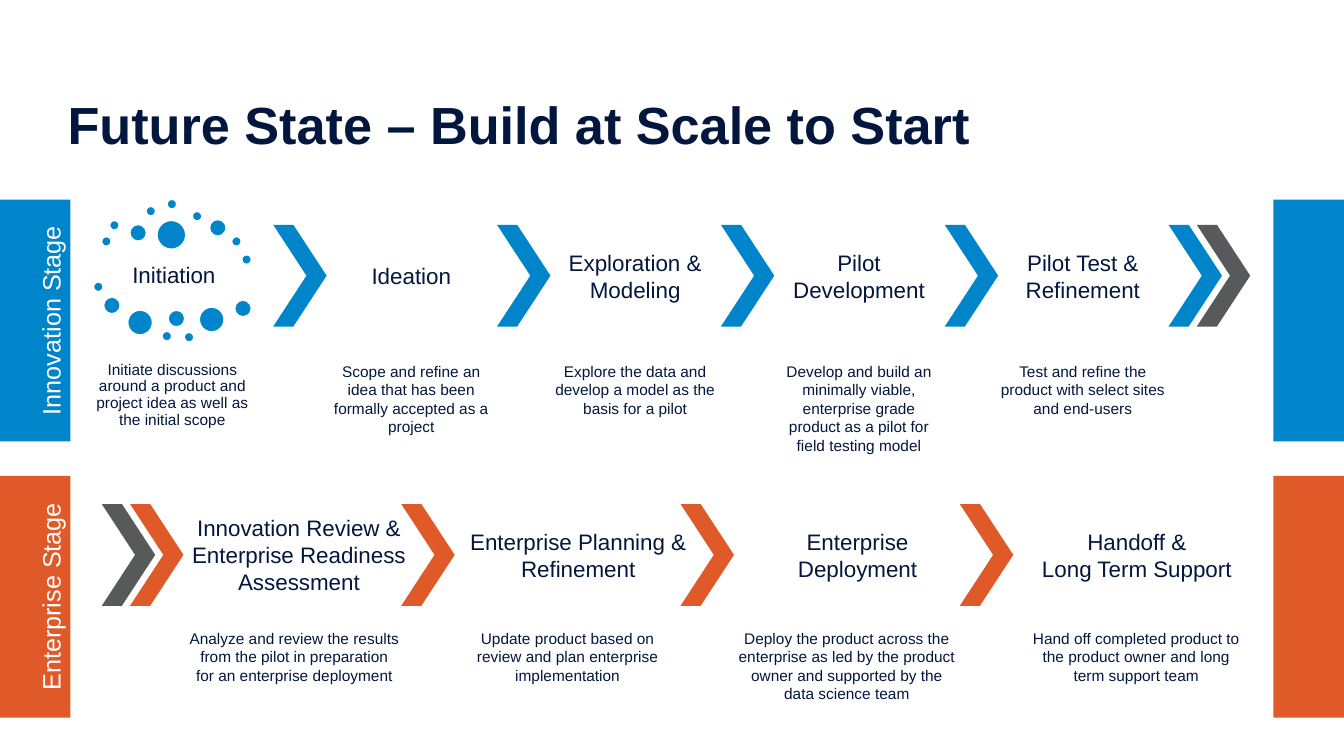
from dataclasses import dataclass
from pptx import Presentation
from pptx.dml.color import RGBColor
from pptx.enum.shapes import MSO_SHAPE as Kind
from pptx.enum.text import MSO_ANCHOR as Anchor, MSO_AUTO_SIZE as Fit, PP_ALIGN as Align
from pptx.shapes.autoshape import Shape
from pptx.slide import Slide
from pptx.text.text import TextFrame
from pptx.util import Inches, Pt

HUES = {"navy": "03173E", "blue": "0085CA", "orange": "E05929", "gray": "58595B", "white": "FFFFFF"}
FONT = "Arial"
TOP = {"blue": 2.23, "orange": 5.0}
STEP = {"blue": 2.22, "orange": 2.77}


@dataclass(frozen=True)
class Box:
    left: float
    top: float
    width: float
    height: float


@dataclass(frozen=True)
class Stage:
    hue: str
    name: str
    mid: float


@dataclass(frozen=True)
class Phase:
    hue: str
    lines: tuple[str, ...]
    head: Box
    note: str
    body: Box
    pitch: float | None = None


@dataclass(frozen=True)
class Dot:
    left: float
    top: float
    size: float = 0.11


def tint(hue: str) -> RGBColor:
    return RGBColor.from_string(HUES[hue])


def write(frame: TextFrame, lines: tuple[str, ...], size: float, hue: str = "navy",
          align: Align = Align.CENTER, bold: bool = False, pitch: float | None = None) -> None:
    for i, line in enumerate(lines):
        para = frame.add_paragraph() if i else frame.paragraphs[0]
        para.alignment = align
        if pitch:
            para.line_spacing = pitch
        run = para.add_run()
        run.text = line
        run.font.name = FONT
        run.font.size = Pt(size)
        run.font.bold = bold
        run.font.color.rgb = tint(hue)


def pad(frame: TextFrame, gap: float) -> None:
    frame.margin_left = frame.margin_right = Inches(gap)
    frame.margin_top = frame.margin_bottom = Inches(gap)


def draw(slide: Slide, kind: Kind, box: Box, hue: str) -> Shape:
    shape = slide.shapes.add_shape(kind, Inches(box.left), Inches(box.top),
                                   Inches(box.width), Inches(box.height))
    shape.shadow.inherit = False
    shape.fill.solid()
    shape.fill.fore_color.rgb = tint(hue)
    shape.line.fill.background()
    return shape


def add_title(slide: Slide, text: str) -> None:
    title = slide.shapes.title
    title.left, title.top = Inches(0.67), Inches(0.36)
    title.width, title.height = Inches(12), Inches(1.18)
    frame = title.text_frame
    frame.auto_size = Fit.NONE
    frame.word_wrap = True
    frame.vertical_anchor = Anchor.BOTTOM
    pad(frame, 0)
    write(frame, (text,), 37.3, align=Align.LEFT, bold=True)


def add_phase(slide: Slide, phase: Phase) -> None:
    head = draw(slide, Kind.RECTANGLE, phase.head, "white").text_frame
    head.word_wrap = True
    head.vertical_anchor = Anchor.MIDDLE
    write(head, phase.lines, 16)
    body = draw(slide, Kind.RECTANGLE, phase.body, "white").text_frame
    body.word_wrap = True
    body.vertical_anchor = Anchor.TOP
    pad(body, 0.02)
    write(body, (phase.note,), 11, pitch=phase.pitch)


def add_arrow(slide: Slide, left: float, top: float, hue: str) -> None:
    arrow = draw(slide, Kind.CHEVRON, Box(left, top, 0.53, 1.01), hue)
    arrow.adjustments[0] = 0.623


def add_dot(slide: Slide, dot: Dot) -> None:
    shape = draw(slide, Kind.OVAL, Box(dot.left, dot.top, dot.size, dot.size), "blue")
    shape.line.color.rgb = tint("white")
    shape.line.width = Pt(2)


def add_bars(slide: Slide, stage: Stage) -> None:
    for left, lines in ((-0.85, (stage.name,)), (11.78, ())):
        bar = draw(slide, Kind.RECTANGLE, Box(left, stage.mid - 0.35, 2.4, 0.7), stage.hue)
        bar.rotation = 270
        bar.text_frame.vertical_anchor = Anchor.BOTTOM
        write(bar.text_frame, lines, 18, "white")


def blue(col: int, lines: tuple[str, ...], note: str) -> Phase:
    left = 3.23 + STEP["blue"] * col
    return Phase("blue", lines, Box(left, TOP["blue"], 1.7, 1.01), note, Box(left, 3.57, 1.7, 1))


def orange(col: int, lines: tuple[str, ...], note: str, left: float, width: float = 2.24) -> Phase:
    head = Box(1.74 + STEP["orange"] * col, TOP["orange"], 2.45, 1.01)
    return Phase("orange", lines, head, note, Box(left, 6.22, width, 1))


STAGES = (Stage("blue", "Innovation Stage", 3.18), Stage("orange", "Enterprise Stage", 5.92))

PHASES = (
    Phase("blue", ("Initiation",), Box(1.08, 2.22, 1.29, 1.01),
          "Initiate discussions around a product and project idea as well as the initial scope",
          Box(0.92, 3.57, 1.58, 1), 0.9),
    blue(0, ("Ideation",), "Scope and refine an idea that has been formally accepted as a project"),
    blue(1, ("Exploration &", "Modeling"), "Explore the data and develop a model as the basis for a pilot"),
    blue(2, ("Pilot", "Development"), "Develop and build an minimally viable, enterprise grade product "
         "as a pilot for field testing model"),
    blue(3, ("Pilot Test &", "Refinement"), "Test and refine the product with select sites and end-users"),
    orange(0, ("Innovation Review &", "Enterprise Readiness", "Assessment"),
           "Analyze and review the results from the pilot in preparation for an enterprise deployment",
           1.86, 2.12),
    orange(1, ("Enterprise Planning &", "Refinement"),
           "Update product based on review and plan enterprise implementation", 4.51),
    orange(2, ("Enterprise Deployment",), "Deploy the product across the enterprise as led by the "
           "product owner and supported by the data science team", 7.28),
    orange(3, ("Handoff &", "Long Term Support"),
           "Hand off completed product to the product owner and long term support team", 10.15),
)

DOTS = (
    Dot(1, 2.34), Dot(1.08, 2.18), Dot(1.28, 2.22, 0.18), Dot(1.44, 2.04), Dot(1.65, 1.97),
    Dot(1.9, 2.09), Dot(2.07, 2.17, 0.18), Dot(2.29, 2.34), Dot(2.39, 2.52), Dot(1.55, 2.18, 0.3),
    Dot(0.92, 2.79), Dot(1.02, 2.94, 0.18), Dot(1.26, 3.07, 0.26), Dot(1.6, 3.28),
    Dot(1.66, 3.07, 0.18), Dot(1.82, 3.29), Dot(1.97, 3.04, 0.26), Dot(2.32, 2.97, 0.18),
)

ARROWS = {
    "blue": [2.71 + STEP["blue"] * i for i in range(5)],
    "orange": [1.29] + [3.98 + STEP["orange"] * i for i in range(3)],
}


def main() -> None:
    deck = Presentation()
    deck.slide_width, deck.slide_height = Inches(13.33), Inches(7.5)
    slide = deck.slides.add_slide(deck.slide_layouts[5])
    add_title(slide, "Future State – Build at Scale to Start")
    for phase in PHASES:
        add_phase(slide, phase)
    for dot in DOTS:
        add_dot(slide, dot)
    for hue, lefts in ARROWS.items():
        for left in lefts:
            add_arrow(slide, left, TOP[hue], hue)
    add_arrow(slide, 11.87, TOP["blue"], "gray")
    add_arrow(slide, 1.01, TOP["orange"], "gray")
    for stage in STAGES:
        add_bars(slide, stage)
    deck.save("out.pptx")


if __name__ == "__main__":
    main()
